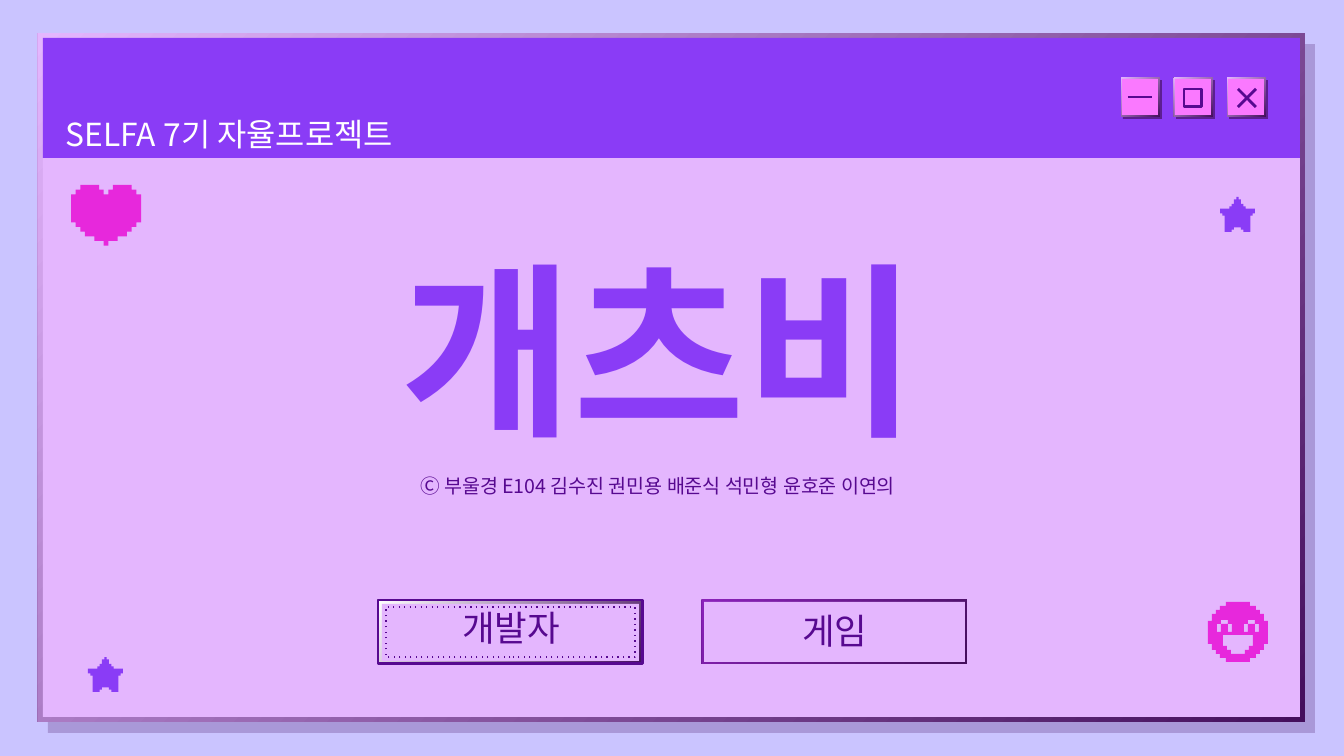
from dataclasses import dataclass

from lxml.etree import SubElement
from pptx import Presentation
from pptx.dml.color import RGBColor
from pptx.enum.shapes import MSO_CONNECTOR as Connector, MSO_SHAPE as Shape
from pptx.enum.text import MSO_ANCHOR as Anchor, MSO_AUTO_SIZE as AutoSize, PP_ALIGN as Align
from pptx.oxml.ns import qn
from pptx.util import Emu, Pt

PX = 914400 / 134.4


@dataclass(frozen=True)
class Theme:
    background: str = "CAC4FF"
    dark: str = "440F5C"
    light: str = "E4B6FE"
    violet: str = "8A3CF6"
    plum: str = "8B22BA"
    ink: str = "570990"
    pink: str = "FA79FF"
    magenta: str = "E728DC"
    white: str = "FFFFFF"
    font: str = "Noto Sans CJK KR"
    title_size: float = 100
    subtitle_size: float = 17
    button_size: float = 19
    credit_size: float = 10.5
    stroke: float = 1.5
    dots: float = 0.75


THEME = Theme()

# Left halves of symmetric outlines; each icon is (columns, contours).
HEART = (15, [[(7, 2), (7, 1), (6, 1), (6, 0), (2, 0), (2, 1), (1, 1), (1, 2), (0, 2), (0, 8),
               (1, 8), (1, 9), (2, 9), (2, 10), (3, 10), (3, 11), (5, 11), (5, 12), (7, 12), (7, 13)]])
STAR = (15, [[(7, 0), (7, 1), (6, 1), (6, 3), (5, 3), (5, 4), (4, 4), (4, 5), (0, 5), (0, 7),
              (1, 7), (1, 8), (2, 8), (2, 15), (5, 15), (5, 14), (6, 14), (6, 13)]])
SMILE_FACE = [(18, 0), (18, 4), (12, 4), (12, 8), (8, 8), (8, 12), (4, 12), (4, 19), (0, 19),
              (0, 42), (4, 42), (4, 48), (8, 48), (8, 52), (12, 52), (12, 56), (18, 56), (18, 60)]
SMILE_MOUTH = [(15, 33), (15, 44), (19, 44), (19, 48), (23, 48), (23, 52)]
SMILE_EYE = [(20, 18), (20, 22), (24, 22), (24, 30), (20, 30), (20, 22), (13, 22), (13, 30),
             (9, 30), (9, 22), (13, 22), (13, 18)]


def emu(*lengths):
    return [Emu(round(length * PX)) for length in lengths]


def rgb(color):
    return RGBColor.from_string(color)


def mirror(points, columns):
    return [(columns - x, y) for x, y in reversed(points)]


def set_line(shape, color, width):
    shape.line.color.rgb = rgb(color)
    shape.line.width = Pt(width)


def add_box(slide, box, color=None, alpha=None, gradient=None, line=None):
    """Add a rectangle; gradient runs from the bottom right to the top left."""
    shape = slide.shapes.add_shape(Shape.RECTANGLE, *emu(*box))
    shape.shadow.inherit = False
    if gradient:
        shape.fill.gradient()
        shape.fill.gradient_angle = 135
        for stop, position, stop_color in zip(shape.fill.gradient_stops, (0, 1), gradient):
            stop.position = position
            stop.color.rgb = rgb(stop_color)
    elif color:
        shape.fill.solid()
        shape.fill.fore_color.rgb = rgb(color)
    else:
        shape.fill.background()
    if alpha:
        tint = shape.fill._xPr.find(qn("a:solidFill"))[0]
        SubElement(tint, qn("a:alpha"), val=str(alpha * 1000))
    if line:
        set_line(shape, *line)
    else:
        shape.line.fill.background()
    return shape


def add_stroke(slide, *ends):
    connector = slide.shapes.add_connector(Connector.STRAIGHT, *emu(*ends))
    set_line(connector, THEME.ink, THEME.stroke)
    SubElement(connector._element.spPr, qn("a:effectLst"))


def format_text(shape, text, size, color, bold=False, spacing=1.0):
    frame = shape.text_frame
    margins = {f"margin_{side}": Pt(7.2) for side in ("left", "top", "right", "bottom")}
    frame_format = {"word_wrap": True, "auto_size": AutoSize.NONE,
                    "vertical_anchor": Anchor.TOP, **margins}
    for name, value in frame_format.items():
        setattr(frame, name, value)
    paragraph = frame.paragraphs[0]
    paragraph.alignment = Align.CENTER
    paragraph.line_spacing = spacing
    run = paragraph.add_run()
    run.text = text
    for name, value in {"name": THEME.font, "size": Pt(size), "bold": bold}.items():
        setattr(run.font, name, value)
    run.font.color.rgb = rgb(color)
    SubElement(run._r.get_or_add_rPr(), qn("a:ea"), typeface=THEME.font)


def add_label(slide, box, *text_format):
    format_text(slide.shapes.add_textbox(*emu(*box)), *text_format)


def add_icon(slide, left, top, width, icon, color):
    columns, contours = icon
    scale = width * PX / columns
    builder = None
    for points in contours:
        if builder is None:
            builder = slide.shapes.build_freeform(*points[0], scale=scale)
        else:
            builder.move_to(*points[0])
        builder.add_line_segments(points[1:], close=True)
    shape = builder.convert_to_shape(*emu(left, top))
    shape.shadow.inherit = False
    shape.fill.solid()
    shape.fill.fore_color.rgb = rgb(color)
    shape.line.fill.background()


def add_window(slide, left, top, width, height):
    bar = 120
    add_box(slide, (left + 10, top + 11, width, height), THEME.dark, alpha=24)
    add_box(slide, (left, top, width, height), gradient=(THEME.dark, THEME.light))
    add_box(slide, (left + 5, top + 5 + bar, width - 10, height - 10 - bar), THEME.light)
    add_box(slide, (left + 5, top + 5, width - 10, bar), THEME.violet)


def add_controls(slide, left, top, size=39, pitch=53):
    """Place the minimise, maximise and close buttons."""
    minimise, maximise, close = (left + pitch * index for index in range(3))
    for x in (minimise, maximise, close):
        add_box(slide, (x + 2, top + 2, size, size), THEME.dark, alpha=65)
        add_box(slide, (x, top, size, size), gradient=(THEME.dark, THEME.light))
        add_box(slide, (x + 1, top + 1, size - 3, size - 3), THEME.pink)
    add_stroke(slide, minimise + 7, top + 19, minimise + 31, top + 19)
    add_box(slide, (maximise + 10, top + 11, 18, 18), line=(THEME.ink, THEME.stroke))
    for start, end in ((11, 29), (29, 11)):
        add_stroke(slide, close + 11, top + start, close + 29, top + end)


def add_pressed_button(slide, left, top, width, height, text):
    add_box(slide, (left, top, width, height), gradient=(THEME.dark, THEME.white),
            line=(THEME.ink, THEME.stroke))
    add_box(slide, (left + 4, top + 4, width - 8, height - 7), THEME.light)
    focus = add_box(slide, (left + 8, top + 7, width - 16, height - 14),
                    line=(THEME.ink, THEME.dots))
    SubElement(focus.line._get_or_add_ln(), qn("a:prstDash"), val="dot")
    add_label(slide, (left + 8, top - 7, width - 15, height), text, THEME.button_size, THEME.ink)


def add_button(slide, left, top, width, height, text):
    add_box(slide, (left, top, width, height), gradient=(THEME.dark, THEME.plum))
    add_box(slide, (left + 2, top + 2, width - 4, height - 4), THEME.light)
    add_label(slide, (left + 8, top - 4, width - 15, height), text, THEME.button_size, THEME.ink)


def add_title(slide, *box):
    title = slide.shapes.title
    for name, value in zip(("left", "top", "width", "height"), emu(*box)):
        setattr(title, name, value)
    format_text(title, "개츠비", THEME.title_size, THEME.violet, True, 0.8)
    slide.shapes._spTree.append(title._element)  # bring in front of the window


def add_decorations(slide):
    face = SMILE_FACE + mirror(SMILE_FACE, 60)
    mouth = SMILE_MOUTH + mirror(SMILE_MOUTH, 60)
    smile = (60, [face, mouth, SMILE_EYE, mirror(SMILE_EYE, 60)])
    heart, star = ((columns, [half + mirror(half, columns) for half in halves])
                   for columns, halves in (HEART, STAR))
    add_icon(slide, 71, 185, 70, heart, THEME.magenta)
    add_icon(slide, 1208, 602, 60, smile, THEME.magenta)
    for left, top in ((88, 657), (1220, 197)):
        add_icon(slide, left, top, 35, star, THEME.violet)


def main():
    presentation = Presentation()
    presentation.slide_width, presentation.slide_height = emu(1344, 756)
    slide = presentation.slides.add_slide(presentation.slide_layouts[5])
    slide.background.fill.solid()
    slide.background.fill.fore_color.rgb = rgb(THEME.background)
    add_window(slide, 38, 33, 1267, 689)
    add_controls(slide, 1121, 78)
    add_title(slide, 97, 265, 1125, 305)
    add_label(slide, (40, 101, 379, 61), "SELFA 7기 자율프로젝트", THEME.subtitle_size, THEME.white)
    add_pressed_button(slide, 378, 600, 265, 64, "개발자")
    add_button(slide, 702, 600, 265, 64, "게임")
    add_decorations(slide)
    add_label(slide, (288, 461, 740, 61), "Ⓒ 부울경 E104 김수진 권민용 배준식 석민형 윤호준 이연의",
              THEME.credit_size, THEME.ink)
    presentation.save("out.pptx")


if __name__ == "__main__":
    main()
